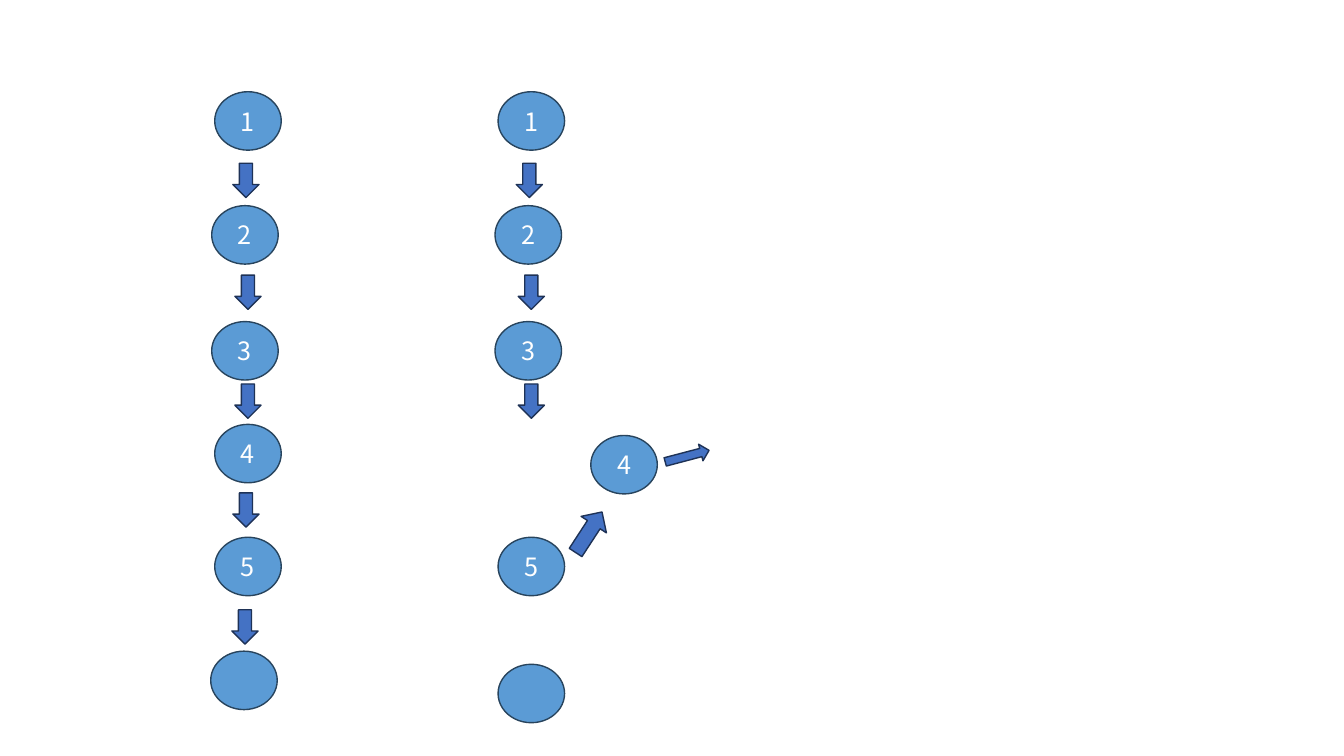
from pptx import Presentation
from pptx.dml.color import RGBColor
from pptx.enum.shapes import MSO_SHAPE as Preset
from pptx.enum.text import MSO_ANCHOR as Anchor, PP_ALIGN as Align
from pptx.util import Inches, Pt

NODE_FILL = RGBColor(0x5B, 0x9B, 0xD5)
NODE_LINE = RGBColor(0x28, 0x44, 0x5D)
ARROW_FILL = RGBColor(0x44, 0x72, 0xC4)
ARROW_LINE = RGBColor(0x1E, 0x32, 0x56)
WHITE = RGBColor(0xFF, 0xFF, 0xFF)

NODE_SIZE = (0.66, 0.58)
ARROW_SIZE = (0.26, 0.34)
LABEL_FONT = {"name": "Noto Sans CJK SC", "size": Pt(18)}

SHARED_NODES = [("1", 0.03, 0), ("2", 0, 1.13), ("3", 0, 2.28)]
SHARED_ARROWS = [(0.21, 0.71), (0.23, 1.82), (0.23, 2.9)]


def add_outlined(slide, preset, box, fill, line):
    shape = slide.shapes.add_shape(preset, *map(Inches, box))
    shape.shadow.inherit = False
    shape.fill.solid()
    shape.fill.fore_color.rgb = fill
    shape.line.color.rgb = line
    shape.line.width = Pt(1)
    return shape


def add_node(slide, label, left, top):
    node = add_outlined(slide, Preset.FLOWCHART_CONNECTOR,
                        (left, top, *NODE_SIZE), NODE_FILL, NODE_LINE)
    if not label:
        return
    node.text_frame.vertical_anchor = Anchor.MIDDLE
    paragraph = node.text_frame.paragraphs[0]
    paragraph.alignment = Align.CENTER
    digit = paragraph.add_run()
    digit.text = label
    for attribute, value in LABEL_FONT.items():
        setattr(digit.font, attribute, value)
    digit.font.color.rgb = WHITE


def add_arrow(slide, left, top, size=ARROW_SIZE, rotation=0):
    arrow = add_outlined(slide, Preset.DOWN_ARROW,
                         (left, top, *size), ARROW_FILL, ARROW_LINE)
    arrow.rotation = rotation


def add_chain(slide, left, top, own_nodes, own_arrows):
    for label, dx, dy in SHARED_NODES + own_nodes:
        add_node(slide, label, left + dx, top + dy)
    for dx, dy, *turn in SHARED_ARROWS + own_arrows:
        add_arrow(slide, left + dx, top + dy, *turn)


def main():
    deck = Presentation()
    deck.slide_width, deck.slide_height = Inches(13.33), Inches(7.5)
    slide = deck.slides.add_slide(deck.slide_layouts[6])
    add_chain(slide, 2.1, 0.91,
              [("4", 0.03, 3.3), ("5", 0.03, 4.42), ("", -0.01, 5.55)],
              [(0.21, 3.98), (0.2, 5.14)])
    add_chain(slide, 4.91, 0.91,
              [("4", 0.95, 3.41), ("5", 0.03, 4.42), ("", 0.03, 5.68)],
              [(1.82, 3.39, (0.17, 0.45), 255.2),
               (0.78, 4.13, (0.3, 0.48), 213.1)])
    deck.save("out.pptx")


if __name__ == "__main__":
    main()
